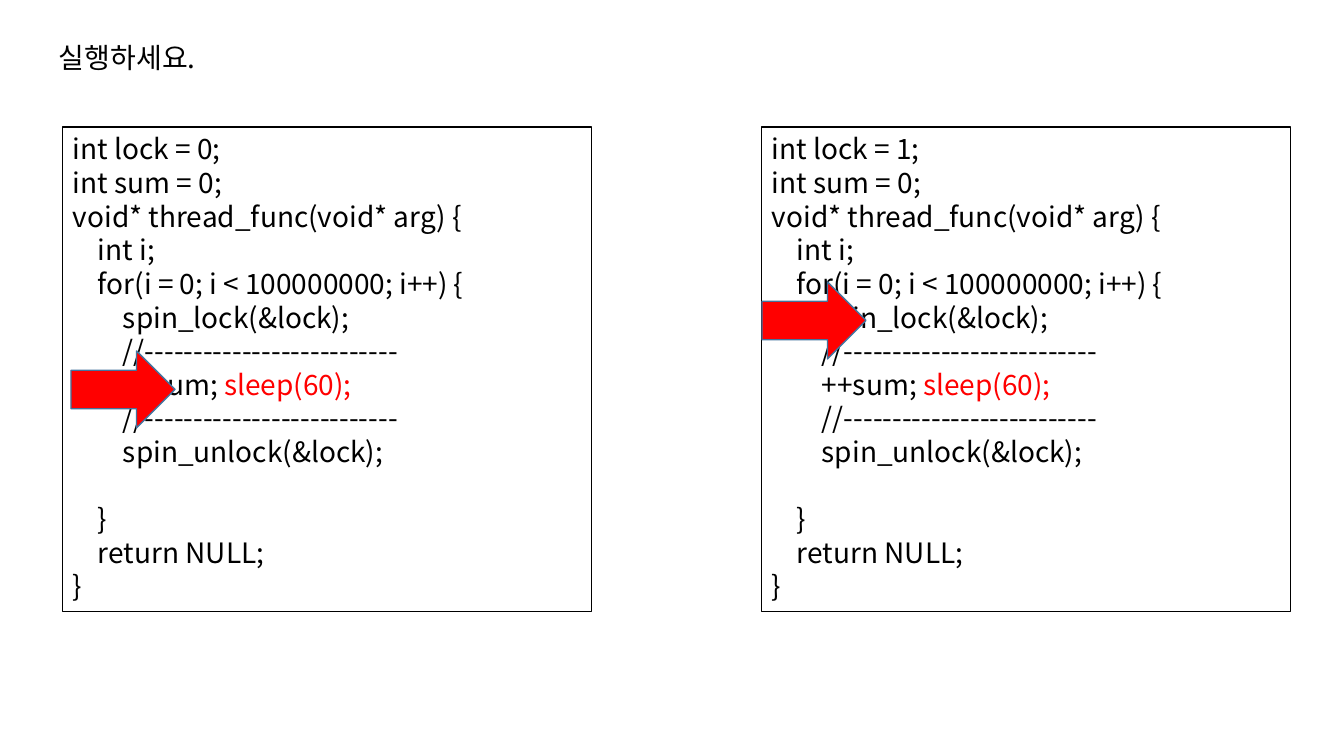
from dataclasses import dataclass

from lxml.etree import SubElement
from pptx import Presentation
from pptx.dml.color import RGBColor
from pptx.enum.shapes import MSO_SHAPE as Shape
from pptx.enum.text import MSO_ANCHOR as Anchor
from pptx.oxml.ns import qn
from pptx.util import Emu, Pt

FONT = "Noto Sans CJK KR"
BLACK, RED, BLUE = "000000", "FF0000", "43739E"
INDENT = 25
LINE = Pt(24)


@dataclass
class Run:
    text: str
    color: str = BLACK


@dataclass
class Line:
    level: int
    runs: list[Run]
    gap: bool = False


@dataclass
class Panel:
    left: int
    lock: int
    arrow_left: int
    arrow_top: int


PANELS = [Panel(63, 0, 71, 351), Panel(762, 1, 762, 282)]


def px(n: float) -> Emu:
    return Emu(round(n * 914400 / 100.8))


def rgb(color: str) -> RGBColor:
    return RGBColor.from_string(color)


def code(lock: int) -> list[Line]:
    rule = Run("//--------------------------")
    return [
        Line(0, [Run(f"int lock = {lock};")]),
        Line(0, [Run("int sum = 0;")]),
        Line(0, [Run("void* thread_func(void* arg) {")]),
        Line(1, [Run("int i;")]),
        Line(1, [Run("for(i = 0; i < 100000000; i++) {")]),
        Line(2, [Run("spin_lock(&lock);")]),
        Line(2, [rule]),
        Line(2, [Run("++sum; "), Run("sleep(60);", RED)]),
        Line(2, [rule]),
        Line(2, [Run("spin_unlock(&lock);")]),
        Line(1, [Run("}")], gap=True),
        Line(1, [Run("return NULL;")]),
        Line(0, [Run("}")]),
    ]


def add_text(s, left: int, top: int, width: int, height: int, lines: list[Line]):
    sp = s.shapes.add_textbox(*map(px, (left, top, width, height)))
    tf = sp.text_frame
    for name, value in {"word_wrap": True, "vertical_anchor": Anchor.TOP}.items():
        setattr(tf, name, value)
    for i, line in enumerate(lines):
        p = tf.add_paragraph() if i else tf.paragraphs[0]
        p.line_spacing = LINE
        if line.gap:
            p.space_before = LINE
        if line.level:
            p._p.get_or_add_pPr().set("marL", str(px(line.level * INDENT)))
        for run in line.runs:
            r = p.add_run()
            r.text = run.text
            for name, value in {"size": Pt(20), "name": FONT}.items():
                setattr(r.font, name, value)
            r.font.color.rgb = rgb(run.color)
            SubElement(r._r.get_or_add_rPr(), qn("a:ea"), typeface=FONT)
    return sp


def add_arrow(s, left: int, top: int) -> None:
    sp = s.shapes.add_shape(Shape.RIGHT_ARROW, *map(px, (left, top, 104, 77)))
    sp.shadow.inherit = False
    sp.fill.solid()
    sp.fill.fore_color.rgb = rgb(RED)
    outline(sp, BLUE, 1)


def outline(sp, color: str, width: float) -> None:
    sp.line.color.rgb = rgb(color)
    sp.line.width = Pt(width)


prs = Presentation()
prs.slide_width, prs.slide_height = px(1344), px(756)
s = prs.slides.add_slide(prs.slide_layouts[6])

for panel in PANELS:
    box = add_text(s, panel.left, 127, 529, 485, code(panel.lock))
    outline(box, BLACK, 0.75)
add_text(s, 49, 36, 175, 44, [Line(0, [Run("실행하세요.")])])
for panel in PANELS:
    add_arrow(s, panel.arrow_left, panel.arrow_top)

prs.save("out.pptx")
